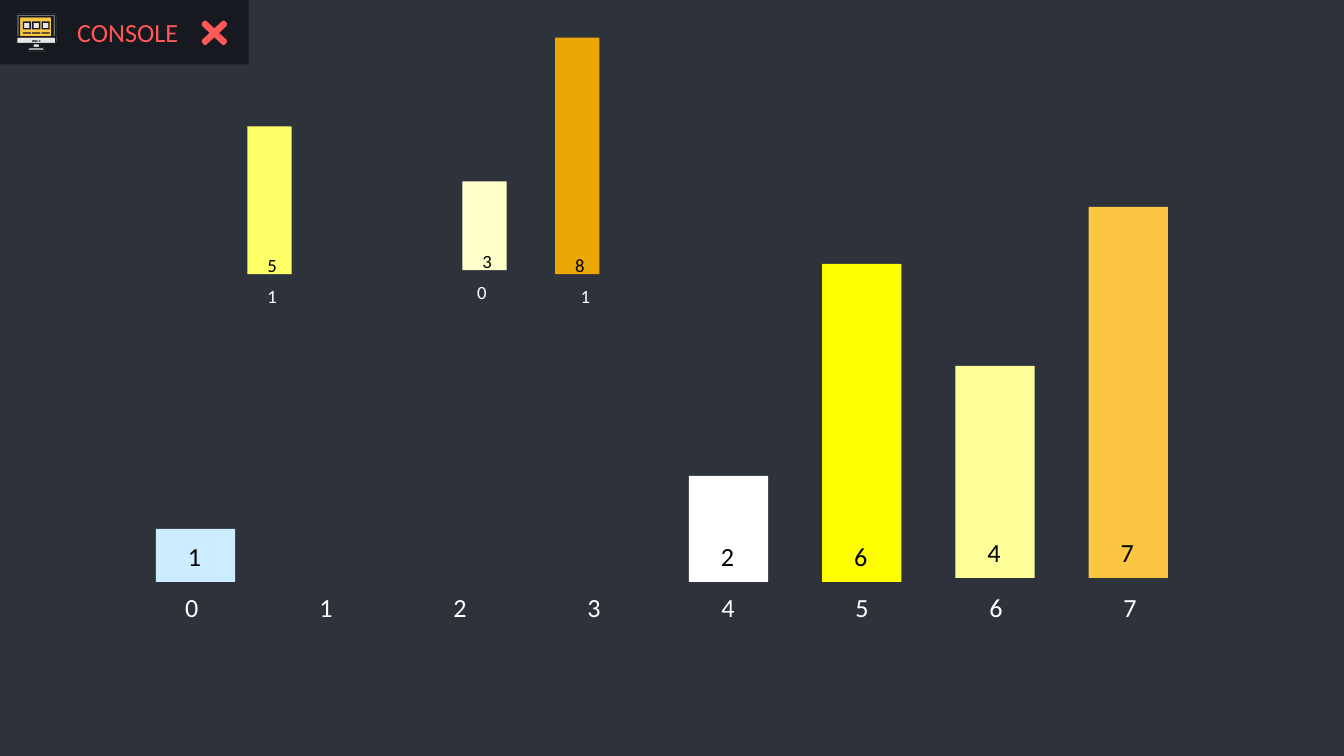
from pptx import Presentation
from pptx.dml.color import RGBColor as Rgb
from pptx.enum.shapes import MSO_SHAPE as Kind
from pptx.enum.text import MSO_ANCHOR as Anchor, PP_ALIGN as Align
from pptx.util import Inches, Pt

HUES = {
    "back": "2E323B", "dark": "16191F", "red": "FF5858", "gray": "707070",
    "pale": "E7E7E7", "gold": "FCC642", "white": "FFFFFF", "black": "000000",
}
BARS = {
    1: "CCECFF", 2: "FFFFFF", 3: "FFFFCC", 4: "FFFF99",
    5: "FFFF66", 6: "FFFF00", 7: "FCC642", 8: "EBA804",
}
BIG = {"wide": 0.59, "unit": 2.76 / 7, "size": 14, "text": (0.31, 0.34),
       "pad": 0.1, "shift": 0.14, "rise": 0.36}
SMALL = {"wide": 0.33, "unit": 0.22, "size": 10, "text": (0.17, 0.27),
         "pad": 0.07, "shift": 0.08, "rise": 0.2}


def paint(shape, hue):
    """Give a shape a flat fill with no line or shadow."""
    shape.fill.solid()
    shape.fill.fore_color.rgb = Rgb.from_string(hue)
    shape.line.fill.background()
    shape.shadow.inherit = False
    return shape


def block(parts, kind, box, hue):
    """Add a flat preset shape in a box."""
    return paint(parts.add_shape(kind, *map(Inches, box)), hue)


def write(para, text, size, hue):
    """Add one run to a paragraph."""
    run = para.add_run()
    run.text = text
    run.font.name = "Calibri"
    run.font.size = Pt(size)
    run.font.color.rgb = Rgb.from_string(hue)


def digit(parts, left, top, text, style, hue):
    """Add a number in a text box of the given style."""
    wide, high = style["text"]
    box = parts.add_textbox(*map(Inches, (left, top, wide, high)))
    frame = box.text_frame
    frame.word_wrap = True
    frame.margin_left = Inches(style["pad"])
    frame.margin_right = 0
    write(frame.paragraphs[0], text, style["size"], hue)


def bar(slide, left, base, value, style):
    """Add a numbered bar that stands on the base."""
    parts = slide.shapes.add_group_shape().shapes
    high = value * style["unit"]
    block(parts, Kind.RECTANGLE, (left, base - high, style["wide"], high), BARS[value])
    digit(parts, left + style["shift"], base - style["rise"], str(value),
          style, HUES["black"])


def outline(parts, left, top, loops, hue):
    """Add a freeform of closed loops, in hundredths of an inch."""
    pen = parts.build_freeform(*loops[0][0], scale=9144)
    pen.add_line_segments(loops[0][1:])
    for loop in loops[1:]:
        pen.move_to(*loop[0])
        pen.add_line_segments(loop[1:])
    paint(pen.convert_to_shape(Inches(left), Inches(top)), hue)


def ring(left, top, right, low):
    """Return the closed corner points of a rectangle."""
    return [(left, top), (right, top), (right, low), (left, low), (left, top)]


def screen(parts, left, top):
    """Draw the monitor icon from its top left corner."""
    foot = [(0, 18), (30, 18), (30, 21), (29, 22), (17, 22), (17, 23), (18, 25),
            (20, 26), (22, 28), (8, 28), (10, 26), (12, 25), (13, 23), (13, 22),
            (1, 22), (0, 21), (0, 18)]
    case = [(0, 18), (0, 2), (1, 0), (29, 0), (30, 2), (30, 18), (0, 18)]
    neck = [(13, 23), (17, 23), (17, 25), (13, 25), (13, 23)]
    stand = [(10, 26), (20, 26), (21, 27), (8, 27), (10, 26)]
    edge = [(1, 0), (29, 0), (30, 2), (30, 21), (28, 23), (18, 23), (20, 25),
            (23, 28), (7, 28), (10, 25), (12, 23), (1, 23), (0, 21), (0, 2), (1, 0)]
    bezel = [(1, 1), (29, 1), (29, 17), (28, 17), (28, 2), (2, 2), (2, 17),
             (1, 17), (1, 1)]
    frame = [edge, bezel, ring(3, 3, 26, 17), ring(1, 18, 29, 22), neck, stand]
    outline(parts, left, top, [case], HUES["gray"])
    outline(parts, left, top, [ring(3, 3, 27, 18)], HUES["gold"])
    outline(parts, left, top, [foot], HUES["pale"])
    outline(parts, left, top, frame, HUES["dark"])
    for x in (5, 12, 19):
        outline(parts, left, top, [ring(x, 6, x + 5, 12)], HUES["pale"])
        outline(parts, left, top, [ring(x, 6, x + 6, 12), ring(x + 1, 7, x + 5, 11)],
                HUES["dark"])
        outline(parts, left, top, [ring(x, 14, x + 6, 15)], HUES["dark"])
    for x, wide in ((12, 4), (17, 1)):
        outline(parts, left, top, [ring(x, 20, x + wide, 21)], HUES["dark"])


def header(slide, left, top, wide, high):
    """Add the console tab with its icon and cross."""
    parts = slide.shapes.add_group_shape().shapes
    tab = block(parts, Kind.RECTANGLE, (left, top, wide, high), HUES["dark"])
    frame = tab.text_frame
    frame.margin_left = Inches(0.15)
    frame.vertical_anchor = Anchor.MIDDLE
    para = frame.paragraphs[0]
    para.alignment = Align.CENTER
    write(para, "CONSOLE", 14, HUES["red"])
    screen(parts, left + 0.12, top + 0.1)
    cross = block(parts, Kind.MATH_MULTIPLY,
                  (left + wide - 0.4, top + 0.11, 0.29, 0.27), HUES["red"])
    cross.adjustments[0] = 0.076
    cross.line.color.rgb = Rgb.from_string(HUES["red"])
    cross.line.width = Pt(2)


def array(slide, left, base):
    """Add the main row of bars with its eight indexes."""
    for slot in range(8):
        digit(slide.shapes, left + 0.12 + slot * 6.98 / 7, base + 0.02, str(slot),
              BIG, HUES["white"])
    for slot, value, lift in ((0, 1, 0), (4, 2, 0), (5, 6, 0), (6, 4, 0.03), (7, 7, 0.03)):
        bar(slide, left + slot * 6.94 / 7, base - lift, value, BIG)


def halves(slide, left, base):
    """Add the small bars of the split parts with their indexes."""
    for x, lift, value, shift, index in (
        (0, 0, 5, 0.08, "1"), (1.6, 0.03, 3, 0.04, "0"), (2.29, 0, 8, 0.12, "1"),
    ):
        bar(slide, left + x, base - lift, value, SMALL)
        digit(slide.shapes, left + x + shift, base - lift + 0.03, index,
              SMALL, HUES["white"])


def main():
    """Build and save the slide."""
    deck = Presentation()
    deck.slide_width, deck.slide_height = Inches(10), Inches(10 * 9 / 16)
    slide = deck.slides.add_slide(deck.slide_layouts[6])
    fill = slide.background.fill
    fill.solid()
    fill.fore_color.rgb = Rgb.from_string(HUES["back"])
    header(slide, 0, 0, 1.85, 0.48)
    halves(slide, 1.84, 2.04)
    array(slide, 1.16, 4.33)
    deck.save("out.pptx")


if __name__ == "__main__":
    main()
